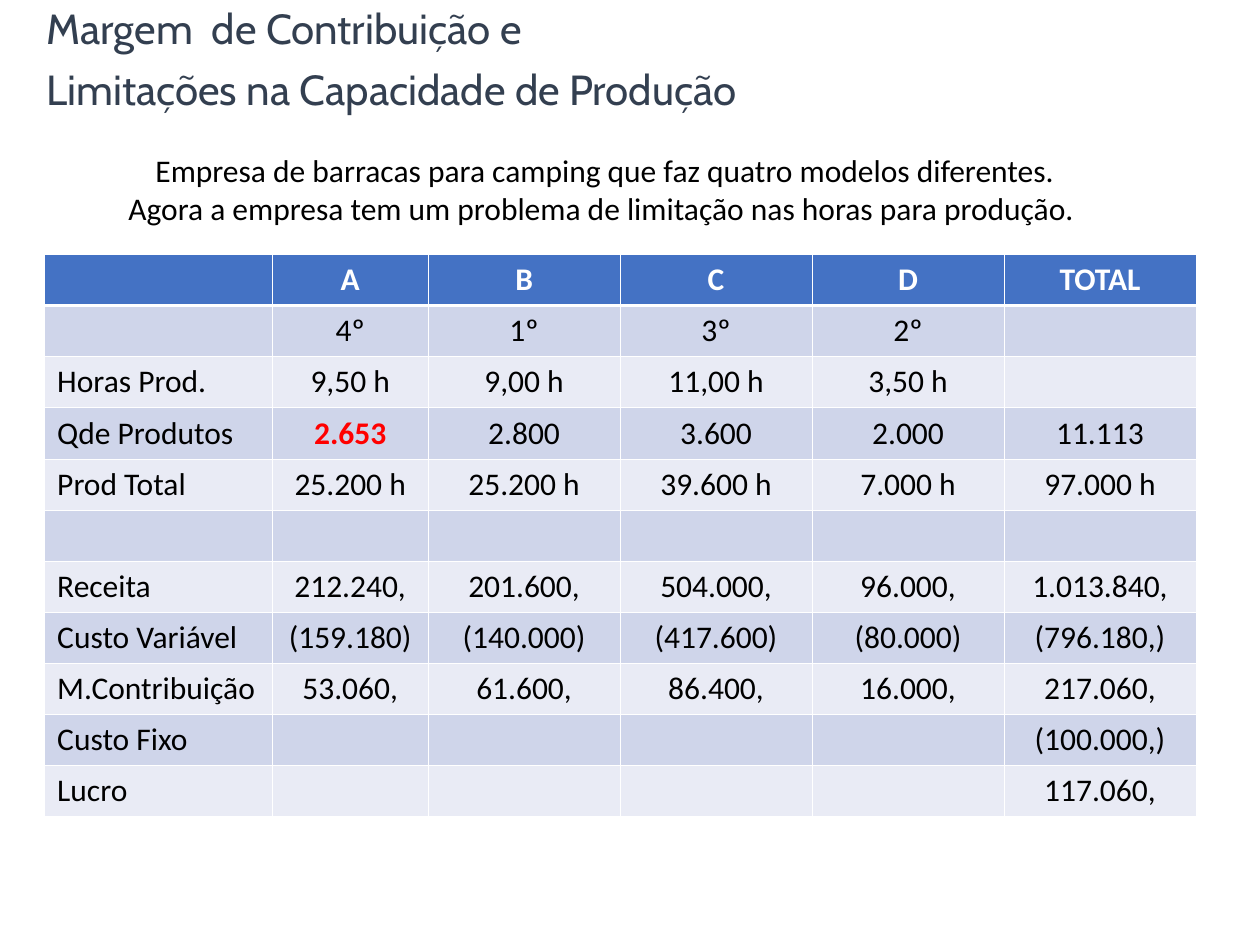
from lxml.etree import SubElement
from pptx import Presentation
from pptx.dml.color import RGBColor
from pptx.enum.text import MSO_AUTO_SIZE, PP_ALIGN
from pptx.oxml.ns import qn
from pptx.util import Cm, Pt


def set_font(paragraph, name, size, color, bold=False):
    font = paragraph.font
    font.name = name
    font.size = Pt(size)
    font.bold = bold
    font.color.rgb = RGBColor.from_string(color)


def add_border(cell, side, width):
    line = SubElement(cell._tc.get_or_add_tcPr(), qn(f"a:ln{side}"), w=str(Pt(width)))
    fill = SubElement(line, qn("a:solidFill"))
    SubElement(fill, qn("a:srgbClr"), val="FFFFFF")


prs = Presentation()
prs.slide_width = Cm(25.4)
prs.slide_height = Cm(19.05)
slide = prs.slides.add_slide(prs.slide_layouts[6])

headings = [
    (
        (0.69, -0.08, 24, 2.51),
        ["Margem  de Contribuição e ", "Limitações na Capacidade de Produção"],
        ("Cabin", 24, "333F50"), PP_ALIGN.JUSTIFY, 6,
    ),
    (
        (1.3, 2.92, 21.79, 1.78),
        ["Empresa de barracas para camping que faz quatro modelos diferentes.",
         "Agora a empresa tem um problema de limitação nas horas para produção. "],
        ("Calibri", 18, "000000"), PP_ALIGN.CENTER, 0,
    ),
]
for bounds, lines, style, alignment, gap in headings:
    frame = slide.shapes.add_textbox(*map(Cm, bounds)).text_frame
    frame.word_wrap = True
    frame.auto_size = MSO_AUTO_SIZE.SHAPE_TO_FIT_TEXT
    frame.text = "\n".join(lines)
    for paragraph in frame.paragraphs:
        paragraph.alignment = alignment
        set_font(paragraph, *style)
    frame.paragraphs[1].space_before = Pt(gap)

results = [
    ["", "A", "B", "C", "D", "TOTAL"],
    ["", "4º", "1º", "3º", "2º", ""],
    ["Horas Prod.", "9,50 h", "9,00 h", "11,00 h", "3,50 h", ""],
    ["Qde Produtos", "2.653", "2.800", "3.600", "2.000", "11.113"],
    ["Prod Total", "25.200 h", "25.200 h", "39.600 h", "7.000 h", "97.000 h"],
    ["", "", "", "", "", ""],
    ["Receita", "212.240,", "201.600,", "504.000,", "96.000,", "1.013.840,"],
    ["Custo Variável", "(159.180)", "(140.000)", "(417.600)", "(80.000)", "(796.180,)"],
    ["M.Contribuição", "53.060,", "61.600,", "86.400,", "16.000,", "217.060,"],
    ["Custo Fixo", "", "", "", "", "(100.000,)"],
    ["Lucro", "", "", "", "", "117.060,"],
]
column_widths = [4.59, 3.14] + [3.87] * 4
row_height = 1.03
limited_quantity = (3, 1)

table = slide.shapes.add_table(
    len(results), len(column_widths), Cm(0.9), Cm(5.13),
    Cm(sum(column_widths)), Cm(row_height * len(results)),
).table
table.horz_banding = False
for column, width in zip(table.columns, column_widths):
    column.width = Cm(width)

for r, values in enumerate(results):
    table.rows[r].height = Cm(row_height)
    for c, value in enumerate(values):
        cell = table.cell(r, c)
        cell.text = value
        paragraph = cell.text_frame.paragraphs[0]
        paragraph.alignment = PP_ALIGN.CENTER if c else PP_ALIGN.LEFT
        if r == 0:
            color, background = "FFFFFF", "4472C4"
        else:
            color, background = "000000", "CFD5EA" if r % 2 else "E9EBF5"
        if (r, c) == limited_quantity:
            color = "FF0000"
        set_font(paragraph, "Calibri", 18, color, bold=color != "000000")
        add_border(cell, "L", 0.45)
        add_border(cell, "R", 0.45)
        add_border(cell, "T", 1.47 if r == 1 else 0.45)
        add_border(cell, "B", 1.47 if r == 0 else 0.45)
        cell.fill.solid()
        cell.fill.fore_color.rgb = RGBColor.from_string(background)

prs.save("out.pptx")
